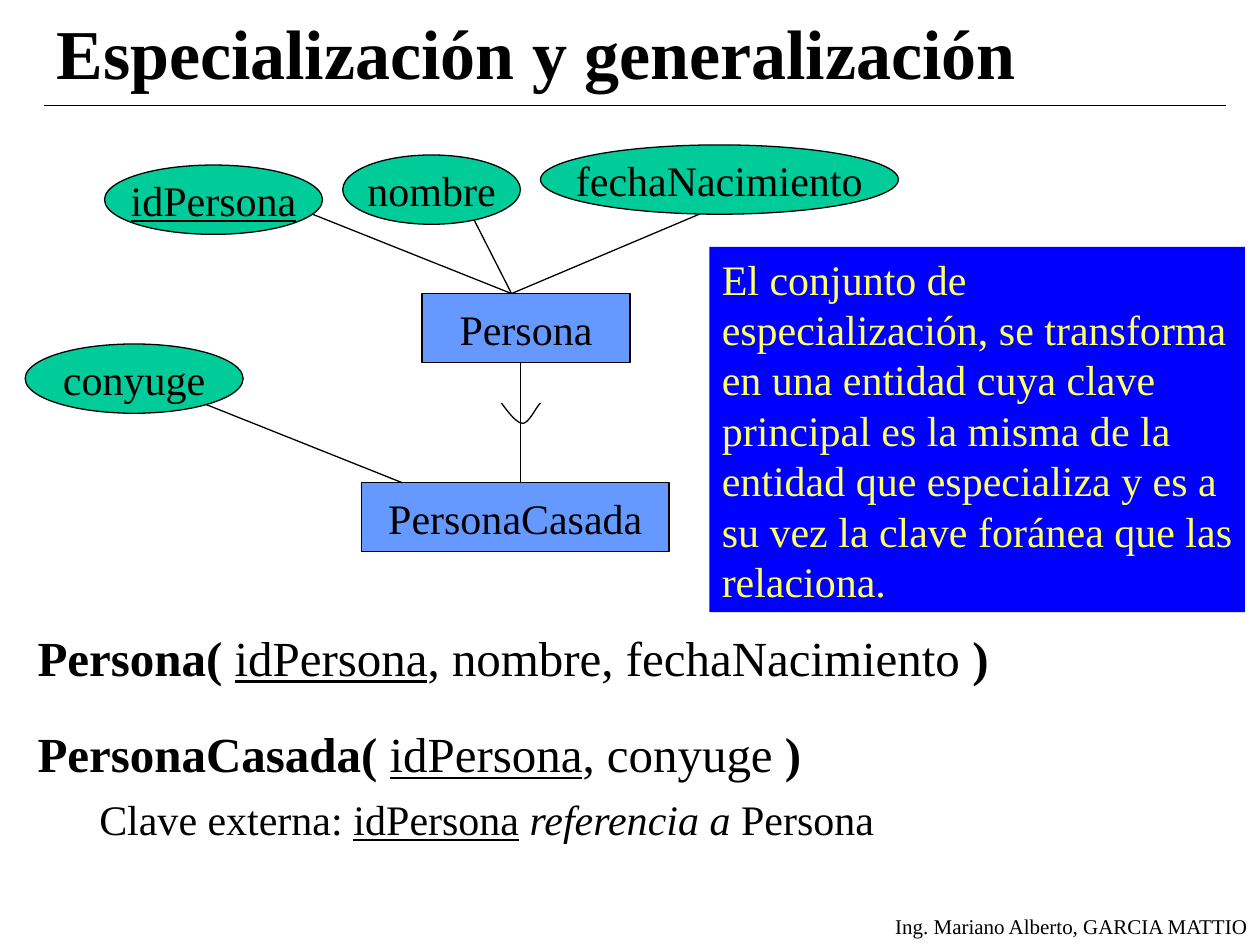
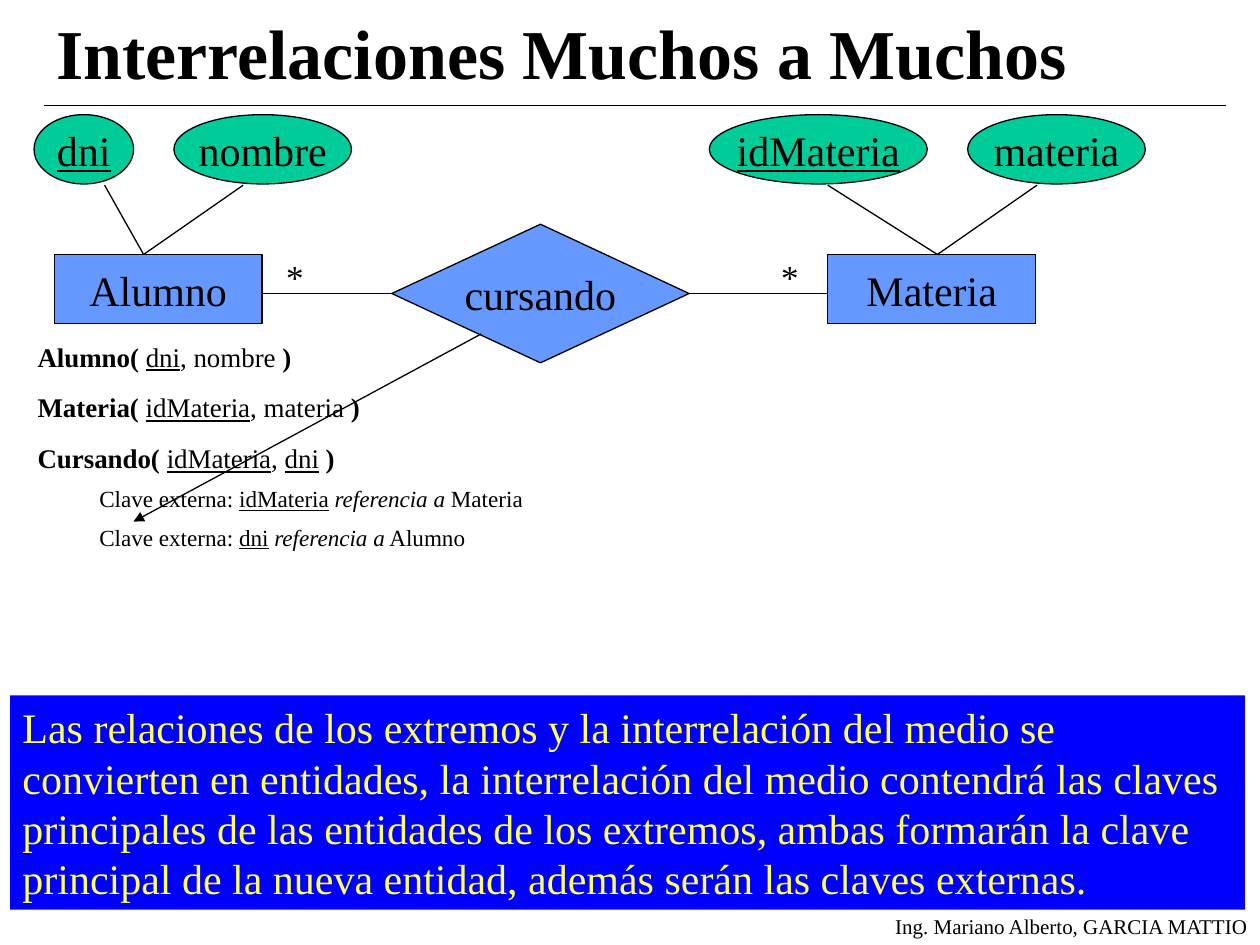
from pptx import Presentation
from pptx.dml.color import RGBColor
from pptx.enum.shapes import MSO_CONNECTOR, MSO_SHAPE
from pptx.enum.text import MSO_ANCHOR, PP_ALIGN
from pptx.oxml.ns import qn
from pptx.util import Inches, Pt
from lxml import etree

COLORS = {"ink": "000000", "entity": "6699FF", "attribute": "00CC99",
          "note": "0000FF", "note_text": "FFFF66"}
FONT = "Times New Roman"
LINE_WIDTH = Pt(0.74)
NODE_H = 0.55
FLAGS = {"b": "bold", "i": "italic", "u": "underline"}


def rgb(name):
    return RGBColor.from_string(COLORS[name])


class Deck:
    """Shared style plus the slide being drawn."""

    def __init__(self):
        self.prs = Presentation()
        self.prs.slide_width, self.prs.slide_height = Inches(10), Inches(7.5)
        self.slide = None

    def new_slide(self, title):
        self.slide = self.prs.slides.add_slide(self.prs.slide_layouts[6])
        self.text(6.97, 7.2, 3.03, 0.3, "Ing. Mariano Alberto, GARCIA MATTIO",
                  12, align=PP_ALIGN.RIGHT)
        self.text(0.35, 0.13, 9.37, 0.55, title, 40, flags="b", wrap=True,
                  anchor=MSO_ANCHOR.MIDDLE)
        self.line(0.35, 0.84, 9.73, 0.84)

    def run(self, p, text, size, flags="", color="ink"):
        r = p.add_run()
        r.text = text
        style = {"name": FONT, "size": Pt(size)}
        style.update({FLAGS[flag]: True for flag in flags})
        for name, value in style.items():
            setattr(r.font, name, value)
        r.font.color.rgb = rgb(color)

    def frame(self, sp, wrap, anchor):
        tf = sp.text_frame
        values = {"word_wrap": wrap, "vertical_anchor": anchor,
                  "margin_left": Inches(0.1), "margin_right": Inches(0.1),
                  "margin_top": Inches(0.05), "margin_bottom": Inches(0.05)}
        for name, value in values.items():
            setattr(tf, name, value)
        return tf

    def box(self, x, y, w, h):
        return self.slide.shapes.add_textbox(*map(Inches, (x, y, w, h)))

    def text(self, x, y, w, h, text, size, flags="", wrap=False,
             align=PP_ALIGN.LEFT, anchor=MSO_ANCHOR.TOP):
        p = self.frame(self.box(x, y, w, h), wrap, anchor).paragraphs[0]
        p.alignment = align
        self.run(p, text, size, flags)

    def line(self, x1, y1, x2, y2, arrow=False):
        sp = self.slide.shapes.add_connector(
            MSO_CONNECTOR.STRAIGHT, *map(Inches, (x1, y1, x2, y2)))
        sp.line.color.rgb = rgb("ink")
        sp.line.width = LINE_WIDTH
        if arrow:
            etree.SubElement(sp.line._get_or_add_ln(), qn("a:tailEnd"), type="triangle")
        etree.SubElement(sp._element.spPr, qn("a:effectLst"))

    def fan(self, x, y, ends):
        """Lines from one point to several ends."""
        for end in ends:
            self.line(x, y, *end)

    def shape(self, kind, x, y, w, h, fill):
        sp = self.slide.shapes.add_shape(kind, *map(Inches, (x, y, w, h)))
        sp.shadow.inherit = False
        sp.fill.solid()
        sp.fill.fore_color.rgb = rgb(fill)
        return sp

    def node(self, x, y, w, text, kind=MSO_SHAPE.RECTANGLE, fill="entity",
             h=NODE_H, flags=""):
        sp = self.shape(kind, x, y, w, h, fill)
        sp.line.color.rgb = rgb("ink")
        sp.line.width = LINE_WIDTH
        p = self.frame(sp, False, MSO_ANCHOR.MIDDLE).paragraphs[0]
        p.alignment = PP_ALIGN.CENTER
        self.run(p, text, 24, flags)

    def attribute(self, x, y, w, text, key=False):
        self.node(x, y, w, text, MSO_SHAPE.OVAL, "attribute",
                  flags="u" if key else "")

    def note(self, x, y, w, h, text):
        sp = self.shape(MSO_SHAPE.RECTANGLE, x, y, w, h, "note")
        sp.line.fill.background()
        p = self.frame(sp, True, MSO_ANCHOR.TOP).paragraphs[0]
        p.alignment = PP_ALIGN.LEFT
        self.run(p, text, 24, color="note_text")

    def curve(self, start, *segments):
        """Open outline through cubic Bezier segments."""
        steps, points, p0 = 12, [], start
        for p1, p2, p3 in segments:
            for n in range(1, steps + 1):
                t = n / steps
                weights = ((1 - t) ** 3, 3 * t * (1 - t) ** 2, 3 * t * t * (1 - t), t ** 3)
                points.append(tuple(
                    Inches(sum(k * v for k, v in zip(weights, axis)))
                    for axis in zip(p0, p1, p2, p3)))
            p0 = p3
        fb = self.slide.shapes.build_freeform(*map(Inches, start))
        fb.add_line_segments(points, close=False)
        sp = fb.convert_to_shape()
        sp.shadow.inherit = False
        sp.fill.background()
        sp.line.color.rgb = rgb("ink")
        sp.line.width = LINE_WIDTH

    def schema(self, y, h, size, sub_size, gap, relations):
        """Relations as (name, keys, other fields, [(foreign key, target)])."""
        tf = self.frame(self.box(0.2, y, 9.37, h), True, MSO_ANCHOR.TOP)
        for n, (name, keys, others, foreign) in enumerate(relations):
            p = tf.add_paragraph() if n else tf.paragraphs[0]
            p.space_before = Pt(gap if n else 7)
            self.run(p, name + "( ", size, "b")
            for k, key in enumerate(keys):
                if k:
                    self.run(p, ", ", size)
                self.run(p, key, size, "u")
            self.run(p, "".join(", " + field for field in others) + " ", size)
            self.run(p, ")", size, "b")
            for key, target in foreign:
                p = tf.add_paragraph()
                p.level = 1
                p.space_before = Pt(6)
                pPr = p._p.get_or_add_pPr()
                pPr.set("marL", str(Inches(0.78)))
                pPr.set("indent", str(Inches(-0.29)))
                for part, flags in (("Clave externa: ", ""), (key, "u"), (" ", ""),
                                    ("referencia a", "i"), (" " + target, "")):
                    self.run(p, part, sub_size, flags)


deck = Deck()

# Slide 1: specialisation
deck.new_slide("Especialización y generalización")
deck.schema(4.93, 2.36, 28, 24, 21.5, [
    ("Persona", ["idPersona"], ["nombre", "fechaNacimiento"], []),
    ("PersonaCasada", ["idPersona"], ["conyuge"], [("idPersona", "Persona")]),
])

# Persona and its attributes
deck.node(3.35, 2.33, 1.65, "Persona")
deck.fan(4.06, 2.33, [(5.55, 1.7), (3.74, 1.7), (2.48, 1.7)])
deck.attribute(4.29, 1.15, 2.84, "fechaNacimiento")
deck.attribute(2.72, 1.23, 1.41, "nombre")
deck.attribute(0.83, 1.31, 1.73, "idPersona", key=True)

# PersonaCasada, its attribute and the inheritance mark
deck.curve((3.98, 3.2), ((4.04, 3.28), (4.1, 3.36), (4.15, 3.36)),
           ((4.2, 3.36), (4.26, 3.22), (4.29, 3.2)))
deck.node(2.87, 3.83, 2.44, "PersonaCasada")
deck.line(3.19, 3.83, 1.61, 3.2)
deck.attribute(0.2, 2.73, 1.73, "conyuge")
deck.line(4.13, 3.83, 4.13, 2.88)
deck.note(5.63, 1.96, 4.25, 2.9,
          "El conjunto de especialización, se transforma en una entidad cuya clave "
          "principal es la misma de la entidad que especializa y es a su vez la "
          "clave foránea que las relaciona.")

# Slide 2: many to many
deck.new_slide("Interrelaciones Muchos a Muchos")
deck.line(2.09, 2.33, 6.57, 2.33)
deck.schema(2.65, 1.81, 15.4, 13.2, 10.6, [
    ("Alumno", ["dni"], ["nombre"], []),
    ("Materia", ["idMateria"], ["materia"], []),
    ("Cursando", ["idMateria", "dni"], [],
     [("idMateria", "Materia"), ("dni", "Alumno")]),
])

# Entities, relationship and cardinalities
deck.node(0.43, 2.02, 1.65, "Alumno")
deck.node(6.57, 2.02, 1.65, "Materia")
deck.node(3.11, 1.78, 2.36, "cursando", MSO_SHAPE.FLOWCHART_DECISION, h=1.1)
for x in (6.1, 2.17):
    deck.text(x, 1.98, 0.34, 0.44, "*", 20, align=PP_ALIGN.CENTER)

# Attributes
for x, w, name, key in ((1.38, 1.41, "nombre", False), (0.27, 0.79, "dni", True),
                        (7.68, 1.41, "materia", False), (5.63, 1.73, "idMateria", True)):
    deck.attribute(x, 0.91, w, name, key)
deck.fan(1.14, 2.02, [(0.83, 1.47), (1.93, 1.47)])
deck.fan(7.44, 2.02, [(6.57, 1.47), (8.23, 1.47)])

# Explanation and pointer to the new relation
deck.note(0.08, 5.52, 9.8, 1.7,
          "Las relaciones de los extremos y la interrelación del medio se convierten "
          "en entidades, la interrelación del medio contendrá las claves principales "
          "de las entidades de los extremos, ambas formarán la clave principal de la "
          "nueva entidad, además serán las claves externas.")
deck.line(3.82, 2.65, 1.06, 4.14, arrow=True)

deck.prs.save("out.pptx")
